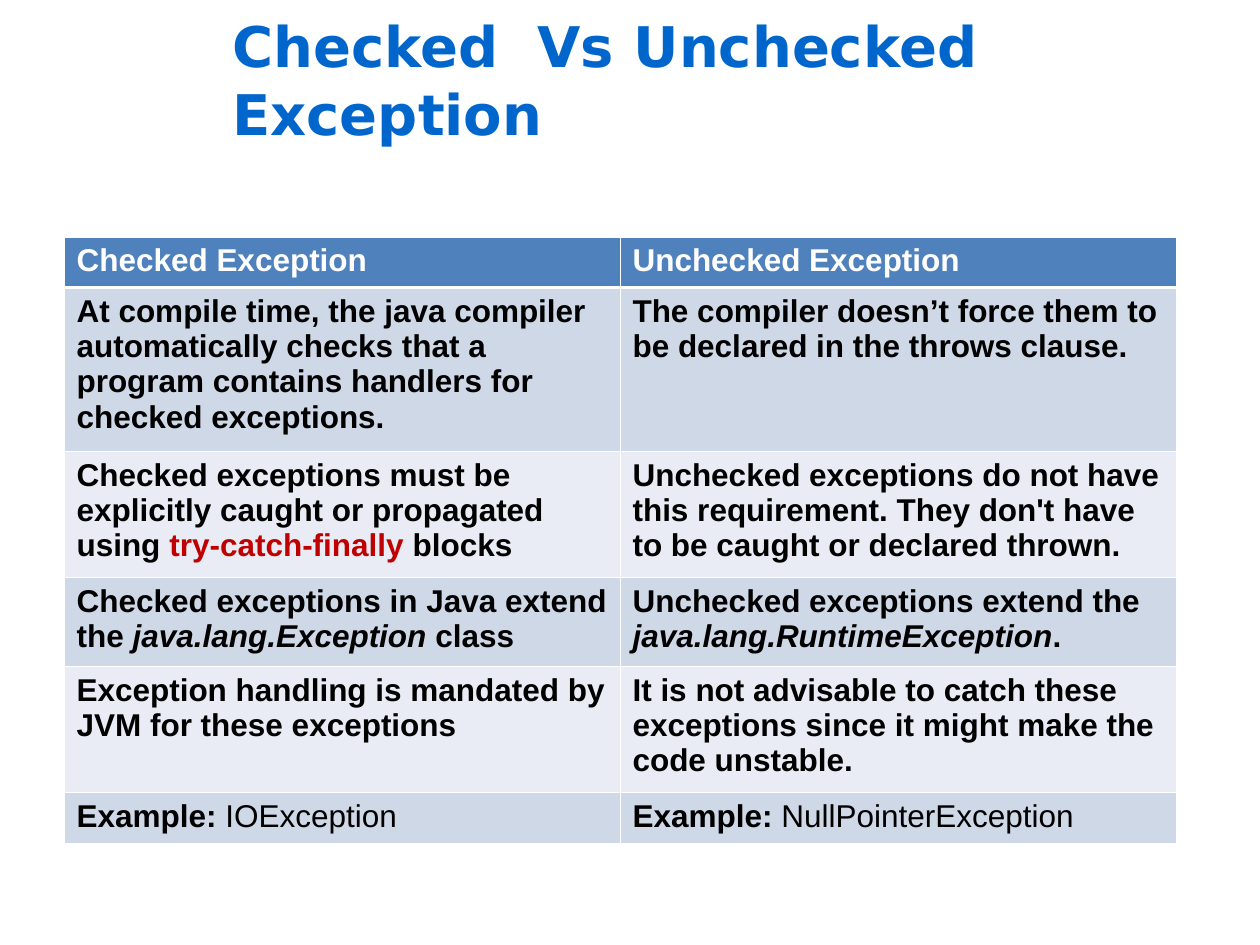
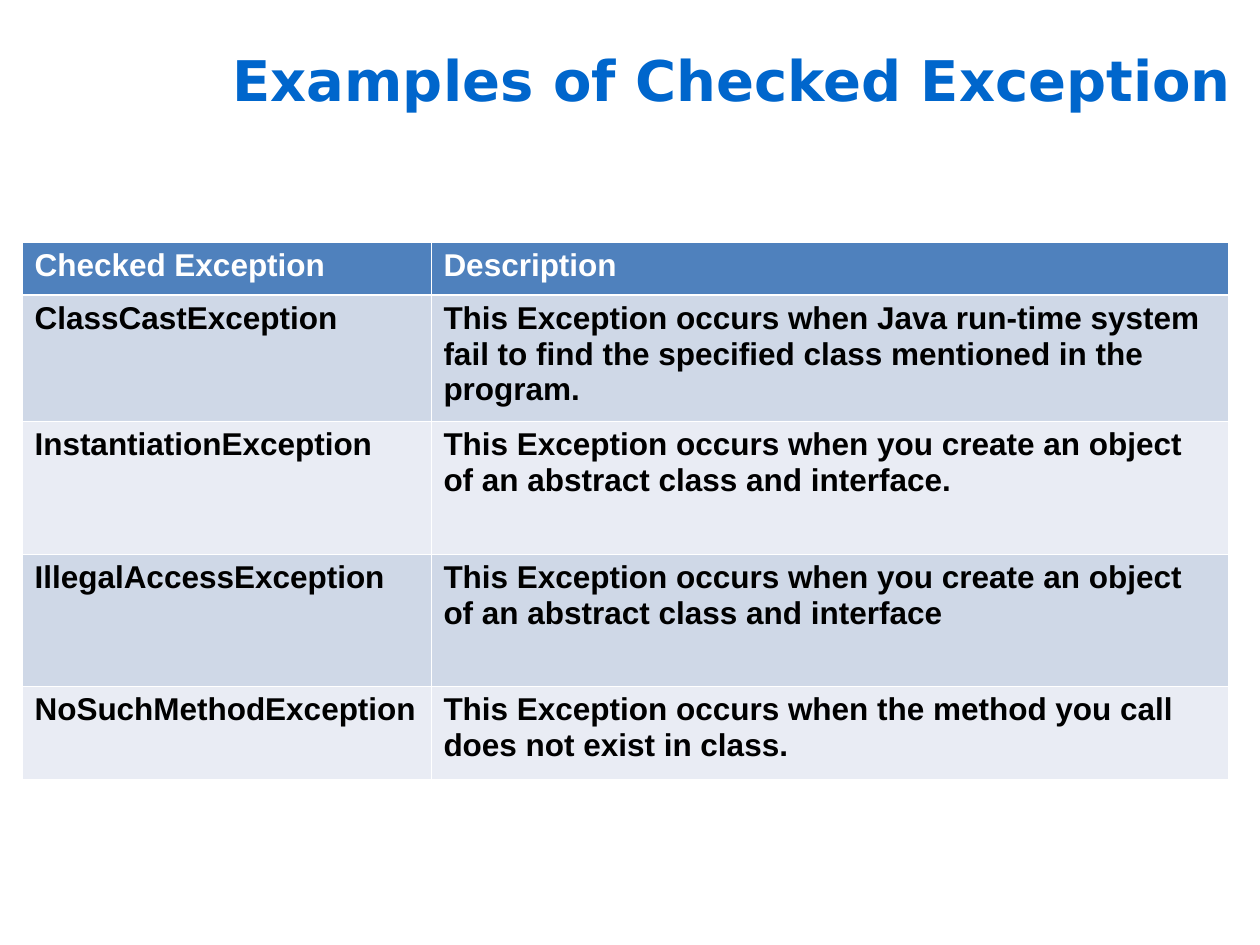
from dataclasses import dataclass

from lxml.etree import SubElement
from pptx import Presentation
from pptx.dml.color import RGBColor
from pptx.enum.text import MSO_ANCHOR
from pptx.oxml.ns import qn
from pptx.util import Emu, Pt

# A cell is a string or a list of (text, format) spans; cells are bold black unless told otherwise.
SLIDES = [
    {
        "title": "Checked  Vs Unchecked Exception",
        "left": 64, "top": 237,
        "columns": [556, 556],
        "rows": [50, 164, 126, 89, 126, 51],
        "cells": [
            ("Checked Exception", "Unchecked Exception"),
            ("At compile time, the java compiler automatically checks that a program "
             "contains handlers for checked exceptions.",
             "The compiler doesn’t force them to be declared in the throws clause."),
            ([("Checked exceptions must be explicitly caught or propagated using ", {}),
              ("try-catch-finally ", {"color": "C00000"}), ("blocks", {})],
             "Unchecked exceptions do not have this requirement. They don't have to be "
             "caught or declared thrown."),
            ([("Checked exceptions in Java extend the ", {}),
              ("java.lang.Exception ", {"italic": True}), ("class", {})],
             [("Unchecked exceptions extend the ", {}),
              ("java.lang.RuntimeException", {"italic": True}), (".", {})]),
            ("Exception handling is mandated by JVM for these exceptions",
             "It is not advisable to catch these exceptions since it might make the "
             "code unstable."),
            ([("Example: ", {}), ("IOException", {"bold": False})],
             [("Example: ", {}), ("NullPointerException", {"bold": False})]),
        ],
    },
    {
        "title": "Examples of Checked Exception",
        "left": 22, "top": 242,
        "columns": [409, 797],
        "rows": [53, 126, 133, 132, 93],
        "cells": [
            ("Checked Exception", "Description"),
            ("ClassCastException",
             "This Exception occurs when Java run-time system fail to find the specified "
             "class mentioned in the program."),
            ("InstantiationException",
             "This Exception occurs when you create an object of an abstract class and "
             "interface."),
            ("IllegalAccessException",
             "This Exception occurs when you create an object of an abstract class and "
             "interface"),
            ("NoSuchMethodException",
             "This Exception occurs when the method you call does not exist in class."),
        ],
    },
]


@dataclass(frozen=True)
class Theme:
    header_fill: str = "4F81BD"
    bands: tuple = ("CFD8E7", "E9ECF4")
    border: str = "FFFFFF"
    thin: float = 0.45
    thick: float = 1.47


THEME = Theme()
TITLE_FORMAT = {"name": "DejaVu Sans", "size": Pt(32), "bold": True, "color": "0066CC"}
BODY_FORMAT = {"name": "Arial", "size": Pt(18), "bold": True, "color": "000000"}
HEADER_FORMAT = {**BODY_FORMAT, "color": "FFFFFF"}
PAGE_SIZE = (1260, 945)
TITLE_BOX = (220, 0, 1040, 158)


def px(length):
    return Emu(round(length * 914400 / 126))


def write(frame, content, base):
    """Fill the first paragraph with spans, each varying the base format."""
    spans = [(content, {})] if isinstance(content, str) else content
    for text, changes in spans:
        span = frame.paragraphs[0].add_run()
        span.text = text
        for key, value in {**base, **changes}.items():
            if key == "color":
                span.font.color.rgb = RGBColor.from_string(value)
            else:
                setattr(span.font, key, value)


def add_borders(cell, row_index):
    """Thin lines all round, with a thick one between header and body."""
    widths = {
        "lnL": THEME.thin,
        "lnR": THEME.thin,
        "lnT": THEME.thick if row_index == 1 else THEME.thin,
        "lnB": THEME.thick if row_index == 0 else THEME.thin,
    }
    properties = cell._tc.get_or_add_tcPr()
    for side, width in widths.items():
        line = SubElement(properties, qn(f"a:{side}"), w=str(int(Pt(width))))
        fill = SubElement(line, qn("a:solidFill"))
        SubElement(fill, qn("a:srgbClr"), val=THEME.border)


def add_title(page, title):
    box = page.shapes.add_textbox(*map(px, TITLE_BOX))
    box.text_frame.word_wrap = True
    box.text_frame.vertical_anchor = MSO_ANCHOR.MIDDLE
    write(box.text_frame, title, TITLE_FORMAT)


def add_comparison(page, left, top, columns, rows, cells):
    table = page.shapes.add_table(
        len(rows), len(columns), px(left), px(top), px(sum(columns)), px(sum(rows))
    ).table
    table.horz_banding = False
    for column, width in zip(table.columns, columns):
        column.width = px(width)
    for row_index, (row, height, contents) in enumerate(zip(table.rows, rows, cells)):
        row.height = px(height)
        is_header = row_index == 0
        color = THEME.header_fill if is_header else THEME.bands[(row_index - 1) % 2]
        for cell, content in zip(row.cells, contents):
            add_borders(cell, row_index)
            cell.fill.solid()
            cell.fill.fore_color.rgb = RGBColor.from_string(color)
            write(cell.text_frame, content, HEADER_FORMAT if is_header else BODY_FORMAT)


def main():
    deck = Presentation()
    deck.slide_width, deck.slide_height = map(px, PAGE_SIZE)
    for slide in SLIDES:
        page = deck.slides.add_slide(deck.slide_layouts[6])
        add_title(page, slide["title"])
        add_comparison(page, **{key: slide[key] for key in slide if key != "title"})
    deck.save("out.pptx")


if __name__ == "__main__":
    main()
